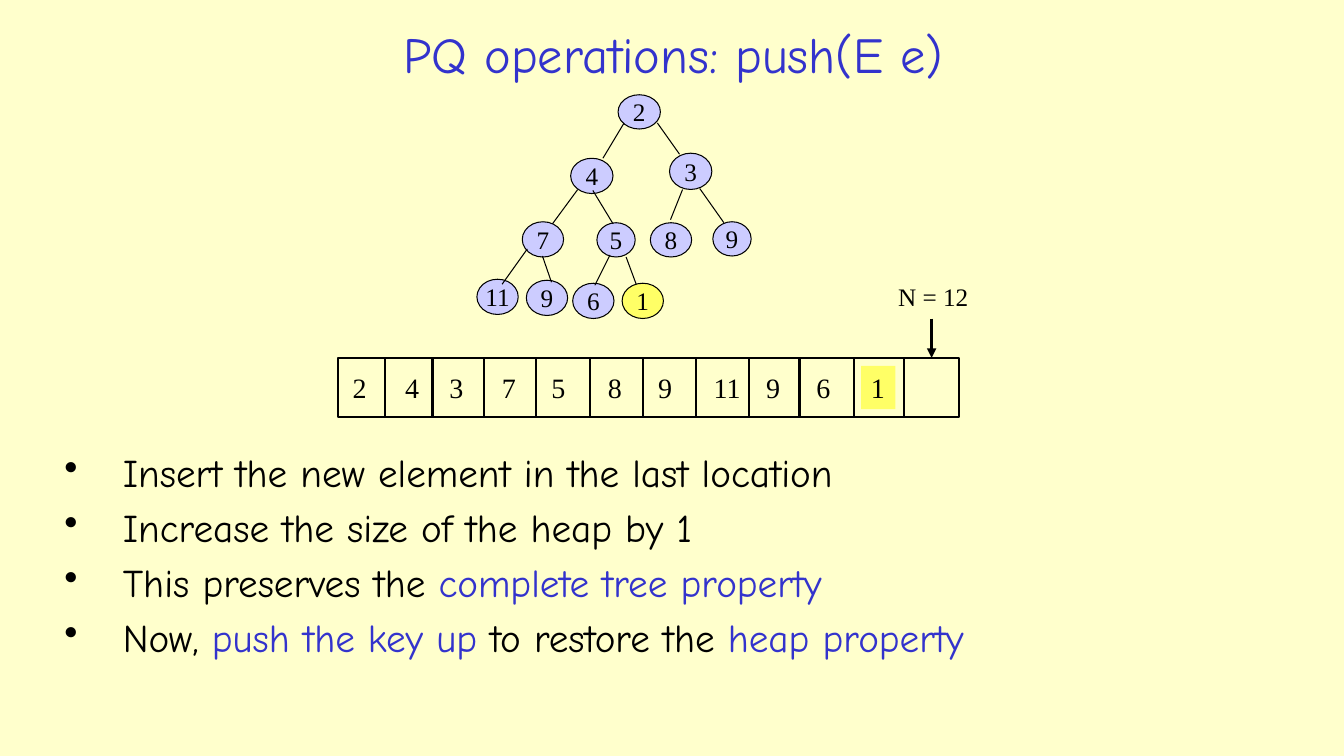
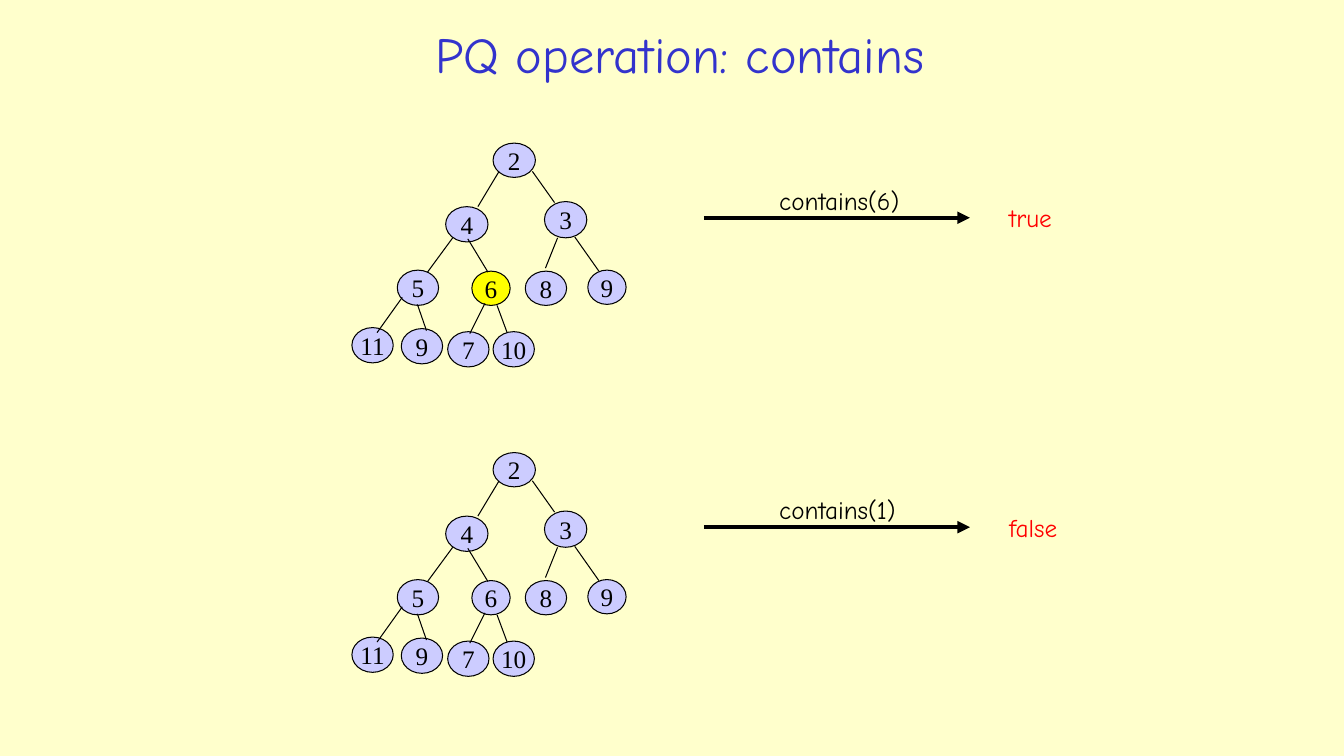
from dataclasses import dataclass

import lxml.etree
import pptx
import pptx.dml.color
import pptx.enum.shapes
import pptx.enum.text
import pptx.oxml.ns
import pptx.util

PX = 9144  # EMU in one px, 100 px to the inch
SHAPES = pptx.enum.shapes.MSO_SHAPE
ALIGN = pptx.enum.text.PP_ALIGN
ANCHOR = pptx.enum.text.MSO_ANCHOR
FIT = pptx.enum.text.MSO_AUTO_SIZE


@dataclass(frozen=True)
class Theme:
    paper: str = "FFFFCC"
    ink: str = "000000"
    accent: str = "3333CC"
    node: str = "CCCCFF"
    new: str = "FFFF66"
    found: str = "FFFF00"
    answer: str = "FF0000"
    words: str = "Comic Neue"
    numbers: str = "Times New Roman"
    title: int = 36
    body: int = 28
    cell: int = 20
    label: int = 18
    thin: float = 0.75
    frame: float = 1.5
    pointer: float = 2.25
    thick: float = 3


THEME = Theme()

# Left, top, width and height of each node, measured from the root, level by level.
NODES = [
    (0, 0, 42, 34),
    (-47, 63, 42, 35), (51, 58, 42, 36),
    (-95, 126, 41, 35), (-21, 127, 38, 34), (32, 127, 41, 34), (94, 126, 38, 34),
    (-140, 183, 41, 35), (-91, 184, 41, 35), (-45, 187, 41, 35), (0, 187, 41, 35),
]
# Start and end of the edge above each node but the root.
EDGES = [
    (6, 28, -15, 63), (39, 28, 61, 59),
    (-40, 94, -65, 128), (-25, 95, -5, 128), (64, 94, 52, 124), (81, 93, 105, 127),
    (-90, 153, -115, 188), (-75, 160, -66, 186), (-8, 159, -23, 189), (4, 161, 14, 188),
]


def px(*lengths):
    return [pptx.util.Emu(length * PX) for length in lengths]


def rgb(color):
    return pptx.dml.color.RGBColor.from_string(color)


def add_xml(parent, tag, **attributes):
    return lxml.etree.SubElement(parent, pptx.oxml.ns.qn(tag), attributes)


def make_bullet(paragraph, indent):
    properties = paragraph._p.get_or_add_pPr()
    properties.set("marL", str(indent * PX))
    properties.set("indent", str(-indent * PX))
    add_xml(add_xml(properties, "a:spcBef"), "a:spcPct", val="20000")
    add_xml(properties, "a:buChar", char="•")


def write(shape, *paragraphs, size=THEME.label, font=THEME.numbers, color=THEME.ink,
          align=ALIGN.LEFT, anchor=ANCHOR.TOP, wrap=False, grow=False, inset=None,
          bullet_indent=0):
    """Fill a shape; a paragraph is a string or a list of (text, color) runs."""
    frame = shape.text_frame
    frame.word_wrap = wrap
    frame.auto_size = FIT.SHAPE_TO_FIT_TEXT if grow else FIT.NONE
    frame.vertical_anchor = anchor
    if inset is not None:
        frame.margin_left = frame.margin_right = inset * PX
        frame.margin_top = frame.margin_bottom = inset * PX
    for number, content in enumerate(paragraphs):
        paragraph = frame.add_paragraph() if number else frame.paragraphs[0]
        paragraph.alignment = align
        if bullet_indent:
            make_bullet(paragraph, bullet_indent)
        for words, shade in [(content, color)] if isinstance(content, str) else content:
            run = paragraph.add_run()
            run.text = words
            run.font.size = pptx.util.Pt(size)
            run.font.name = font
            run.font.color.rgb = rgb(shade)


class Deck:
    """Holds the presentation and the slide being drawn."""

    def __init__(self):
        self.show = pptx.Presentation()
        self.show.slide_width, self.show.slide_height = px(1333, 750)
        fill = self.show.slide_master.background.fill
        fill.solid()
        fill.fore_color.rgb = rgb(THEME.paper)

    def start(self, title, left, width):
        self.slide = self.show.slides.add_slide(self.show.slide_layouts[6])
        self.text(title, left, 15, width, 76, size=THEME.title, font=THEME.words,
                  color=THEME.accent, align=ALIGN.CENTER, anchor=ANCHOR.MIDDLE, wrap=True)

    def text(self, content, left, top, width, height, **style):
        paragraphs = [content] if isinstance(content, str) else content
        write(self.slide.shapes.add_textbox(*px(left, top, width, height)),
              *paragraphs, **style)

    def label(self, content, left, top, width, height=40, **style):
        self.text(content, left, top, width, height, grow=True, **style)

    def shape(self, preset, left, top, width, height, fill=None, line=None):
        shape = self.slide.shapes.add_shape(preset, *px(left, top, width, height))
        shape.shadow.inherit = False
        if fill:
            shape.fill.solid()
            shape.fill.fore_color.rgb = rgb(fill)
        else:
            shape.fill.background()
        if line:
            shape.line.color.rgb = rgb(THEME.ink)
            shape.line.width = pptx.util.Pt(line)
        else:
            shape.line.fill.background()
        return shape

    def line(self, x1, y1, x2, y2, weight=THEME.thin, arrow=False):
        line = self.slide.shapes.add_connector(
            pptx.enum.shapes.MSO_CONNECTOR.STRAIGHT, *px(x1, y1, x2, y2))
        line.line.color.rgb = rgb(THEME.ink)
        line.line.width = pptx.util.Pt(weight)
        if arrow:
            add_xml(line.line._get_or_add_ln(), "a:tailEnd", type="triangle")
        add_xml(line._element.spPr, "a:effectLst")

    def heap(self, keys, x, y, marked=None, mark=None, last_shift=0):
        """Draw a heap tree with its root at x, y and the key `marked` in the colour `mark`."""
        shifts = [0] * (len(keys) - 1) + [last_shift]
        for key, shift, (left, top, width, height) in zip(keys, shifts, NODES):
            node = self.shape(SHAPES.OVAL, x + left + shift, y + top, width, height,
                              fill=mark if key == marked else THEME.node, line=THEME.thin)
            write(node, str(key), align=ALIGN.CENTER, anchor=ANCHOR.MIDDLE, inset=0)
        for shift, (x1, y1, x2, y2) in zip(shifts[1:], EDGES):
            self.line(x + x1 + shift, y + y1, x + x2 + shift, y + y2)

    def array(self, keys, key_lefts, dividers, marked):
        top, bottom = 355, 414
        self.shape(SHAPES.RECTANGLE, 335, top, 616, bottom - top, line=THEME.frame)
        for x in dividers:
            self.line(x, top, x, bottom, THEME.frame)
        for key, left in zip(keys, key_lefts):
            box = (left, 363, 48 if key > 9 else 34, 43)
            if key == marked:
                write(self.shape(SHAPES.RECTANGLE, *box, fill=THEME.new), str(key),
                      size=THEME.cell, grow=True)
            else:
                self.label(str(key), *box, size=THEME.cell)

    def query(self, call, answer, y, call_width, answer_width):
        self.line(698, y, 962, y, THEME.thick, arrow=True)
        self.label(call, 763, y - 37, call_width, font=THEME.words)
        self.label(answer, 991, y - 20, answer_width, font=THEME.words, color=THEME.answer)


def draw_push(deck):
    keys = [2, 4, 3, 7, 5, 8, 9, 11, 9, 6, 1]
    deck.start("PQ operations: push(E e)", 178, 980)
    deck.heap(keys, 613, 94, marked=1, mark=THEME.new, last_shift=4)
    deck.array(keys,
               key_lefts=[340, 392, 436, 488, 537, 593, 643, 698, 750, 800, 854],
               dividers=[382, 429, 480, 532, 585, 638, 690, 743, 793, 847, 897],
               marked=1)
    deck.label("N = 12", 881, 274, 90)
    deck.line(924, 316, 924, 355, THEME.pointer, arrow=True)
    steps = [
        "Insert the new element in the last location",
        "Increase the size of the heap by 1",
        [("This preserves the ", THEME.ink), ("complete tree property", THEME.accent)],
        [("Now, ", THEME.ink), ("push the key up", THEME.accent),
         (" to restore the ", THEME.ink), ("heap property", THEME.accent)],
    ]
    deck.text(steps, 54, 440, 1211, 244, size=THEME.body, font=THEME.words,
              wrap=True, bullet_indent=58)


def draw_contains(deck):
    keys = [2, 4, 3, 5, 6, 8, 9, 11, 9, 7, 10]
    deck.start("PQ operation: contains", 197, 954)
    queries = [
        (142, 6, "contains(6)", "true", 153, 71),
        (449, None, "contains(1)", "false", 147, 79),
    ]
    for root_top, found, call, answer, call_width, answer_width in queries:
        deck.heap(keys, 489, root_top, marked=found, mark=THEME.found)
        deck.query(call, answer, root_top + 74, call_width, answer_width)


def main():
    deck = Deck()
    draw_push(deck)
    draw_contains(deck)
    deck.show.save("out.pptx")


if __name__ == "__main__":
    main()
